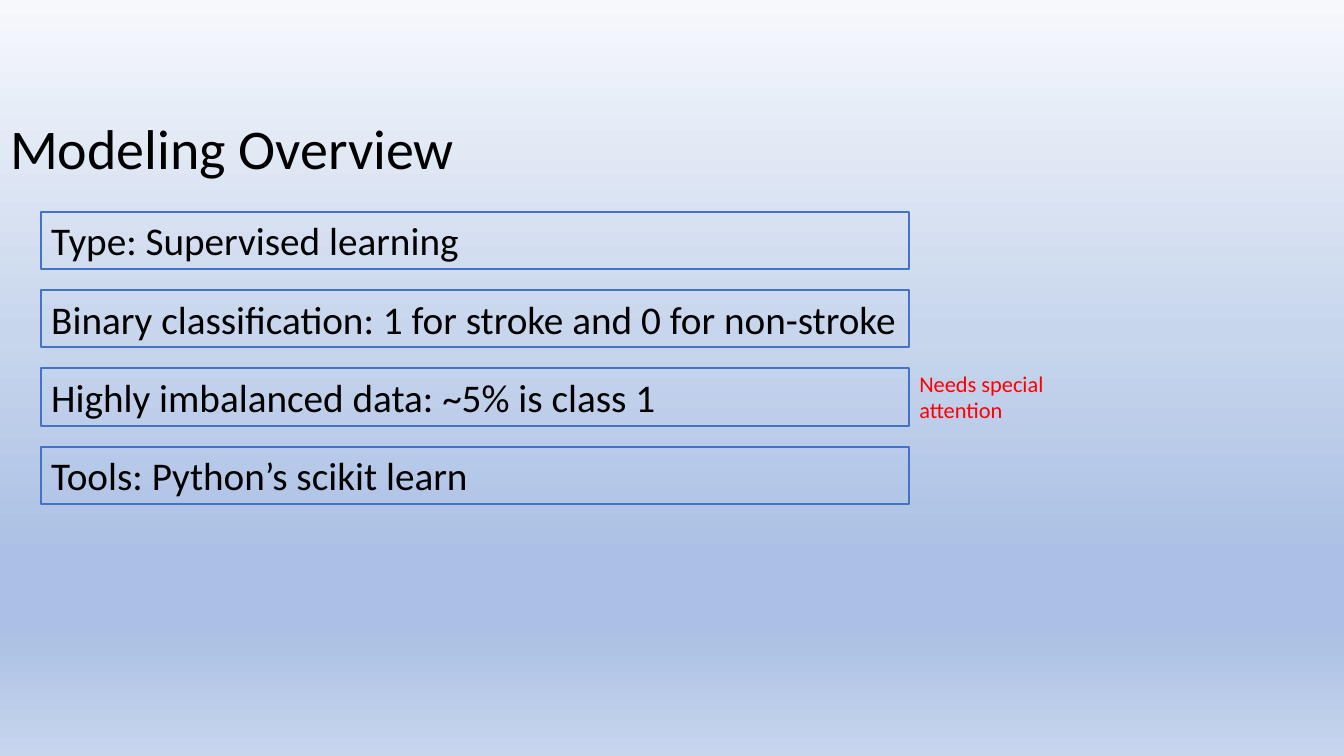
import copy
from dataclasses import dataclass

import pptx
import pptx.dml.color
import pptx.enum.shapes
import pptx.enum.text
import pptx.oxml.ns
import pptx.util

Inches = pptx.util.Inches


@dataclass(frozen=True)
class Theme:
    font: str = "Calibri"
    ink: str = "000000"
    alert: str = "FF0000"
    outline: str = "4472C4"
    outline_width: float = 1.5
    title_size: int = 40
    fact_size: int = 28
    note_size: int = 16
    # Background stops from top to bottom: percent, colour
    backdrop: tuple = ((0, "F6F8FC"), (44, "C8D6ED"), (74, "ABC0E4"),
                       (83, "ABC0E4"), (100, "C7D5ED"))


THEME = Theme()
SLIDE_SIZE = (13.33, 7.5)
FACT_HEIGHT = 0.57
FACT_PITCH = 0.777

FACTS = (
    "Type: Supervised learning",
    "Binary classification: 1 for stroke and 0 for non-stroke",
    "Highly imbalanced data: ~5% is class 1",
    "Tools: Python’s scikit learn",
)
NOTED_FACT = 2
NOTE = "Needs special attention"


def rgb(code):
    return pptx.dml.color.RGBColor.from_string(code)


def write(frame, wording, size, color, anchor):
    """Put one left-aligned run into a text frame."""
    frame.word_wrap = True
    frame.auto_size = pptx.enum.text.MSO_AUTO_SIZE.SHAPE_TO_FIT_TEXT
    frame.vertical_anchor = anchor
    line = frame.paragraphs[0]
    line.alignment = pptx.enum.text.PP_ALIGN.LEFT
    run = line.add_run()
    run.text = wording
    run.font.name = THEME.font
    run.font.size = pptx.util.Pt(size)
    run.font.color.rgb = rgb(color)


def paint_backdrop(slide):
    fill = slide.background.fill
    fill.gradient()
    fill.gradient_angle = 270
    # Rebuild the stop list with the theme's five stops
    stops = slide.element.find(".//" + pptx.oxml.ns.qn("a:gsLst"))
    pattern = copy.deepcopy(stops[0])
    for stop in list(stops):
        stops.remove(stop)
    for _ in THEME.backdrop:
        stops.append(copy.deepcopy(pattern))
    for stop, (percent, color) in zip(fill.gradient_stops, THEME.backdrop):
        stop.position = percent / 100
        stop.color.rgb = rgb(color)


def place_heading(slide, left, top, width, height):
    heading = slide.shapes.title
    heading.left, heading.top = Inches(left), Inches(top)
    heading.width, heading.height = Inches(width), Inches(height)
    write(heading.text_frame, "Modeling Overview", THEME.title_size,
          THEME.ink, pptx.enum.text.MSO_ANCHOR.TOP)


def place_facts(slide, left, top, width):
    """Stack the outlined facts at an equal pitch."""
    for row, wording in enumerate(FACTS):
        fact = slide.shapes.add_shape(
            pptx.enum.shapes.MSO_SHAPE.RECTANGLE,
            Inches(left), Inches(top + row * FACT_PITCH),
            Inches(width), Inches(FACT_HEIGHT))
        fact.shadow.inherit = False
        fact.fill.background()
        fact.line.color.rgb = rgb(THEME.outline)
        fact.line.width = pptx.util.Pt(THEME.outline_width)
        write(fact.text_frame, wording, THEME.fact_size, THEME.ink,
              pptx.enum.text.MSO_ANCHOR.TOP)


def place_note(slide, left, middle, width, height):
    """Centre the remark on the height of the fact it belongs to."""
    note = slide.shapes.add_textbox(
        Inches(left), Inches(middle - height / 2),
        Inches(width), Inches(height))
    write(note.text_frame, NOTE, THEME.note_size, THEME.alert,
          pptx.enum.text.MSO_ANCHOR.TOP)


def build_overview(deck):
    slide = deck.slides.add_slide(deck.slide_layouts.get_by_name("Title Only"))
    left, top, width = 0.41, 2.1, 8.61
    paint_backdrop(slide)
    place_heading(slide, 0, 1.08, 5.13, 0.77)
    place_facts(slide, left, top, width)
    noted_middle = top + NOTED_FACT * FACT_PITCH + FACT_HEIGHT / 2
    place_note(slide, left + width, noted_middle, 2.04, 0.64)


def main():
    deck = pptx.Presentation()
    deck.slide_width, deck.slide_height = map(Inches, SLIDE_SIZE)
    build_overview(deck)
    deck.save("out.pptx")


if __name__ == "__main__":
    main()
